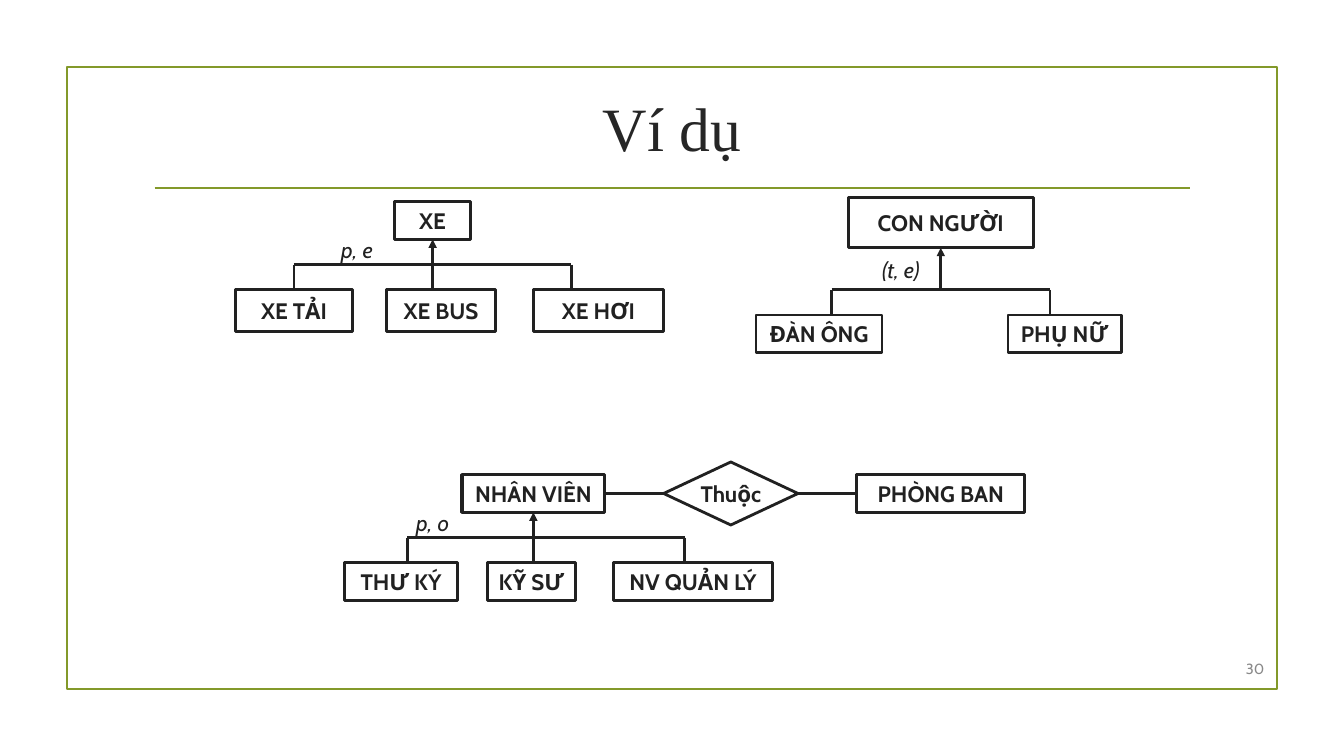
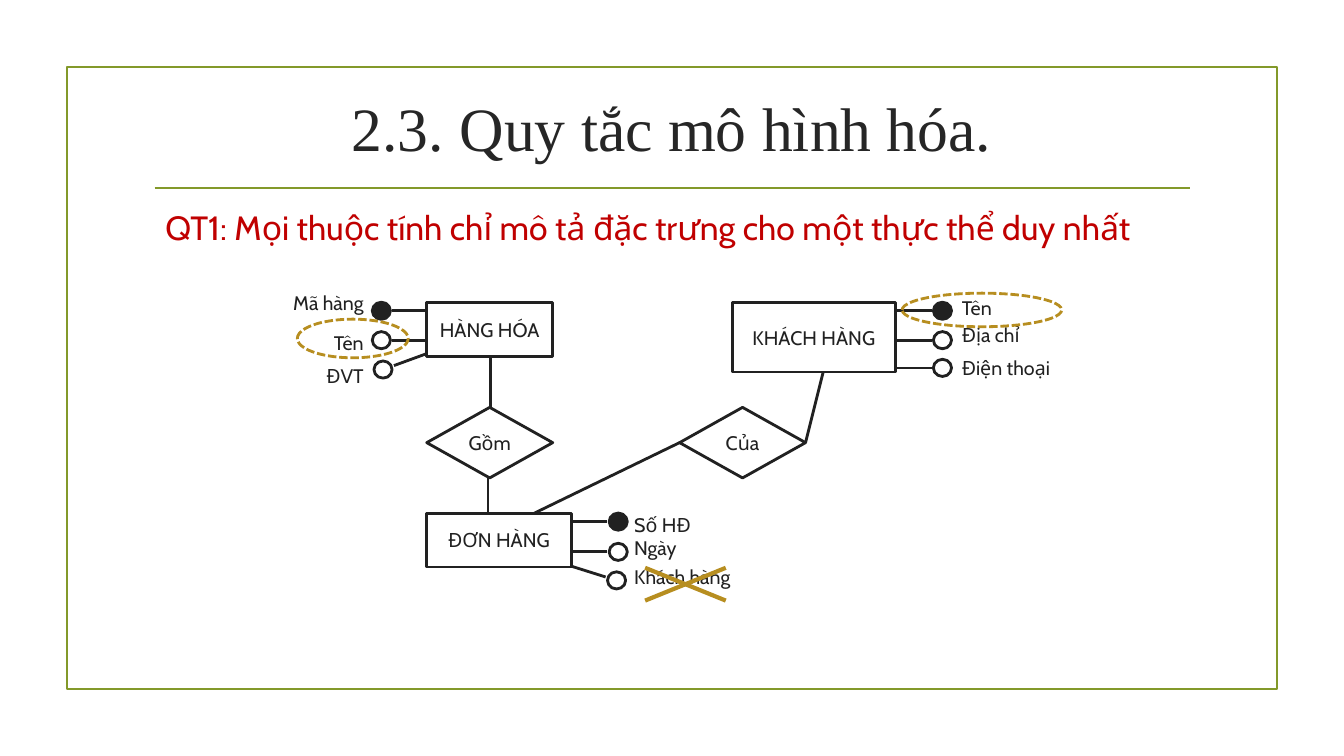
"""Builds two slides on entity-relationship modelling, laid out on a grid of 160 columns by 90 rows."""
from lxml import etree
from pptx import Presentation
from pptx.dml.color import RGBColor
from pptx.enum.dml import MSO_LINE
from pptx.enum.shapes import MSO_CONNECTOR, MSO_SHAPE
from pptx.enum.text import MSO_ANCHOR, PP_ALIGN
from pptx.oxml.ns import qn
from pptx.util import Inches, Pt

RECT, DIAMOND, OVAL = MSO_SHAPE.RECTANGLE, MSO_SHAPE.DIAMOND, MSO_SHAPE.OVAL
STRAIGHT = MSO_CONNECTOR.STRAIGHT
LEFT, CENTER, RIGHT = PP_ALIGN.LEFT, PP_ALIGN.CENTER, PP_ALIGN.RIGHT
TOP, MIDDLE = MSO_ANCHOR.TOP, MSO_ANCHOR.MIDDLE
DASH = MSO_LINE.SQUARE_DOT

COLORS = {"frame": "83992A", "title": "262626", "ink": "212121", "paper": "FFFFFF",
          "rule": "C00000", "mark": "B78E20", "number": "898989"}
BODY_FONT, TITLE_FONT = "Cabin", "Times New Roman"
COLUMNS, ROWS, CELL = 160, 90, Inches(1 / 12)
ROW_HEIGHT = 4.5
DOT_WIDTH, DOT_HEIGHT, DOT_REACH = 2.16, 2.04, 1.3


def cells(*counts):
    """Turn grid counts into lengths."""
    return [int(count * CELL) for count in counts]


def color(name):
    """Look up a palette colour."""
    return RGBColor.from_string(COLORS[name])


def write(frame, text, size, ink="ink", align=CENTER, anchor=MIDDLE, font=BODY_FONT,
          bold=False, italic=False, inset=(0.1, 0.05)):
    """Write one formatted run into a text frame."""
    frame.word_wrap = True
    frame.vertical_anchor = anchor
    frame.margin_left = frame.margin_right = Inches(inset[0])
    frame.margin_top = frame.margin_bottom = Inches(inset[1])
    paragraph = frame.paragraphs[0]
    paragraph.alignment = align
    run = paragraph.add_run()
    run.text = text
    run.font.name, run.font.size = font, Pt(size)
    run.font.bold, run.font.italic = bold, italic
    run.font.color.rgb = color(ink)


def label(slide, text, place, size, **style):
    """Add free text."""
    write(slide.shapes.add_textbox(*cells(*place)).text_frame, text, size, **style)


def outline(slide, kind, place, stroke="ink", width=2, fill=None, dash=None):
    """Add an outlined shape, filled if a colour is given."""
    figure = slide.shapes.add_shape(kind, *cells(*place))
    figure.shadow.inherit = False
    figure.line.color.rgb, figure.line.width = color(stroke), Pt(width)
    if dash:
        figure.line.dash_style = dash
    if fill:
        figure.fill.solid()
        figure.fill.fore_color.rgb = color(fill)
    else:
        figure.fill.background()
    return figure


def entity(slide, text, place, size=16, bold=True, width=2):
    """Add an entity box."""
    box = outline(slide, RECT, place, width=width, fill="paper")
    write(box.text_frame, text, size, bold=bold, inset=(0, 0.05))


def relation(slide, text, place, size=16, bold=True):
    """Add a relationship diamond."""
    diamond = outline(slide, DIAMOND, place, fill="paper")
    write(diamond.text_frame, text, size, bold=bold, inset=(0, 0))


def link(slide, start, end, stroke="ink", width=2, arrow=False):
    """Join two grid points with a straight line."""
    connector = slide.shapes.add_connector(STRAIGHT, *cells(*start, *end))
    connector.line.color.rgb, connector.line.width = color(stroke), Pt(width)
    properties = connector.element.spPr
    if arrow:
        etree.SubElement(properties.find(qn("a:ln")), qn("a:tailEnd"), type="triangle")
    etree.SubElement(properties, qn("a:effectLst"))


def hierarchy(slide, parent, children, row, child_height, bus, stem, width=2):
    """Draw a supertype with an arrow from its row of subtypes."""
    text, place = parent
    entity(slide, text, place, width=width)
    for text, left, span, _ in children:
        entity(slide, text, (left, row, span, child_height), width=width)
    drops = [drop for *_, drop in children]
    link(slide, (drops[0], bus), (drops[-1], bus))
    for drop in drops:
        link(slide, (drop, bus), (drop, row))
    link(slide, (stem, bus), (stem, place[1] + place[3]), arrow=True)


def attributes(slide, side, text_left, align, items):
    """Draw an entity's attributes; the first one is the filled key."""
    for index, (text, text_top, start, dot) in enumerate(items):
        (x, y), (dot_x, dot_y) = start, dot
        end_x = dot_x - side * DOT_REACH
        end_y = y + (dot_y - y) * (end_x - x) / (dot_x - x)
        link(slide, start, (end_x, end_y))
        place = (dot_x - DOT_WIDTH / 2, dot_y - DOT_HEIGHT / 2, DOT_WIDTH, DOT_HEIGHT)
        outline(slide, OVAL, place, fill=None if index else "ink")
        label(slide, text, (text_left, text_top, 12.8, 4.2), 14,
              align=align, anchor=TOP, inset=(0, 0))


def framed_slide(deck, heading):
    """Start a slide with the shared frame, rule and title."""
    slide = deck.slides.add_slide(deck.slide_layouts[5])
    outline(slide, RECT, (8, 8, 144, 74), "frame", 1.25)
    link(slide, (18.4, 22.4), (141.7, 22.4), "frame", 1.25)
    title = slide.shapes.title
    title.left, title.top, title.width, title.height = cells(17, 8.2, 126, 13.7)
    write(title.text_frame, heading, 44, "title", font=TITLE_FONT)
    return slide


def example_slide(deck):
    """Show three supertype hierarchies."""
    slide = framed_slide(deck, "Ví dụ")
    label(slide, "30", (144.6, 77.8, 7.1, 3.7), 10.5, ink="number", align=RIGHT)
    hierarchy(slide, ("XE", (47, 24, 9, ROW_HEIGHT)),
              [("XE TẢI", 28, 14, 35), ("XE BUS", 46, 13, 51.5), ("XE HƠI", 63.5, 15.5, 68)],
              row=34.5, child_height=5, bus=31.5, stem=51.5)
    hierarchy(slide, ("NHÂN VIÊN", (55, 56.5, 17, ROW_HEIGHT)),
              [("THƯ KÝ", 41, 13.5, 48.5), ("KỸ SƯ", 58, 10.5, 63.5),
               ("NV QUẢN LÝ", 73, 19, 81.5)],
              row=67, child_height=ROW_HEIGHT, bus=64, stem=63.5, width=2.25)
    hierarchy(slide, ("CON NGƯỜI", (101, 23.5, 22, 6)),
              [("ĐÀN ÔNG", 90, 15, 99), ("PHỤ NỮ", 120, 13.5, 125)],
              row=37.5, child_height=ROW_HEIGHT, bus=34.5, stem=112)
    entity(slide, "PHÒNG BAN", (102, 56.5, 20, ROW_HEIGHT), width=2.25)
    relation(slide, "Thuộc", (79, 55, 16, 7.5))
    for left, right in [(72, 79), (95, 102)]:
        link(slide, (left, 58.75), (right, 58.75))
    for text, left, top in [("p, e", 38, 27.5), ("p, o", 47, 60)]:
        label(slide, text, (left, top, 9, 4.4), 16, italic=True, anchor=TOP)
    label(slide, "(t, e)", (104, 30.5, 6.5, 3.2), 16, italic=True, anchor=TOP, inset=(0, 0))


def rule_slide(deck):
    """Show the rule that an attribute belongs to one entity."""
    slide = framed_slide(deck, "2.3. Quy tắc mô hình hóa.")
    label(slide, "QT1: Mọi thuộc tính chỉ mô tả đặc trưng cho một thực thể duy nhất",
          (18.5, 24, 125.5, 6), 24, ink="rule", align=LEFT)
    for text, place in [("KHÁCH HÀNG", (87.2, 36, 19.4, 8.3)),
                        ("HÀNG HÓA", (50.8, 36, 15, 6.4)),
                        ("ĐƠN HÀNG", (50.8, 61.1, 17.2, 6.4))]:
        entity(slide, text, place, 14, bold=False)
    attributes(slide, 1, 114.5, LEFT, [
        ("Tên", 35.2, (106.6, 37), (112.2, 37)),
        ("Địa chỉ", 38.5, (106.6, 40.5), (112.2, 40.5)),
        ("Điện thoại", 42.4, (106.6, 43.8), (112.2, 43.8))])
    attributes(slide, -1, 30.5, RIGHT, [
        ("Mã hàng", 34.6, (50.8, 37), (45.4, 37)),
        ("Tên", 39.4, (50.8, 40.5), (45.4, 40.5)),
        ("ĐVT", 43.3, (50.8, 42.1), (45.6, 44))])
    attributes(slide, 1, 75.5, LEFT, [
        ("Số HĐ", 61.1, (68, 62.1), (73.6, 62.1)),
        ("Ngày", 63.8, (68, 65.7), (73.6, 65.7)),
        ("Khách hàng", 67.3, (68, 67.4), (73.4, 69.1))])
    for text, left in [("Của", 80.9), ("Gồm", 50.8)]:
        relation(slide, text, (left, 48.5, 15, 8.4), 14, bold=False)
    for start, end in [((58.4, 42.4), (58.4, 48.5)), ((58.1, 56.9), (58.1, 61.1)),
                       ((63.6, 61.1), (80.9, 52.7)), ((98, 44.3), (95.9, 52.7))]:
        link(slide, start, end)
    for left_y, right_y in [(67.6, 71.5), (71.5, 67.6)]:
        link(slide, (76.8, left_y), (86.4, right_y), "mark", 3)
    for place in [(35.4, 38, 13.2, 4.6), (107.4, 34.9, 19, 4)]:
        outline(slide, OVAL, place, "mark", dash=DASH)


def main():
    """Build and save the deck."""
    deck = Presentation()
    deck.slide_width, deck.slide_height = cells(COLUMNS, ROWS)
    example_slide(deck)
    rule_slide(deck)
    deck.save("out.pptx")


if __name__ == "__main__":
    main()
